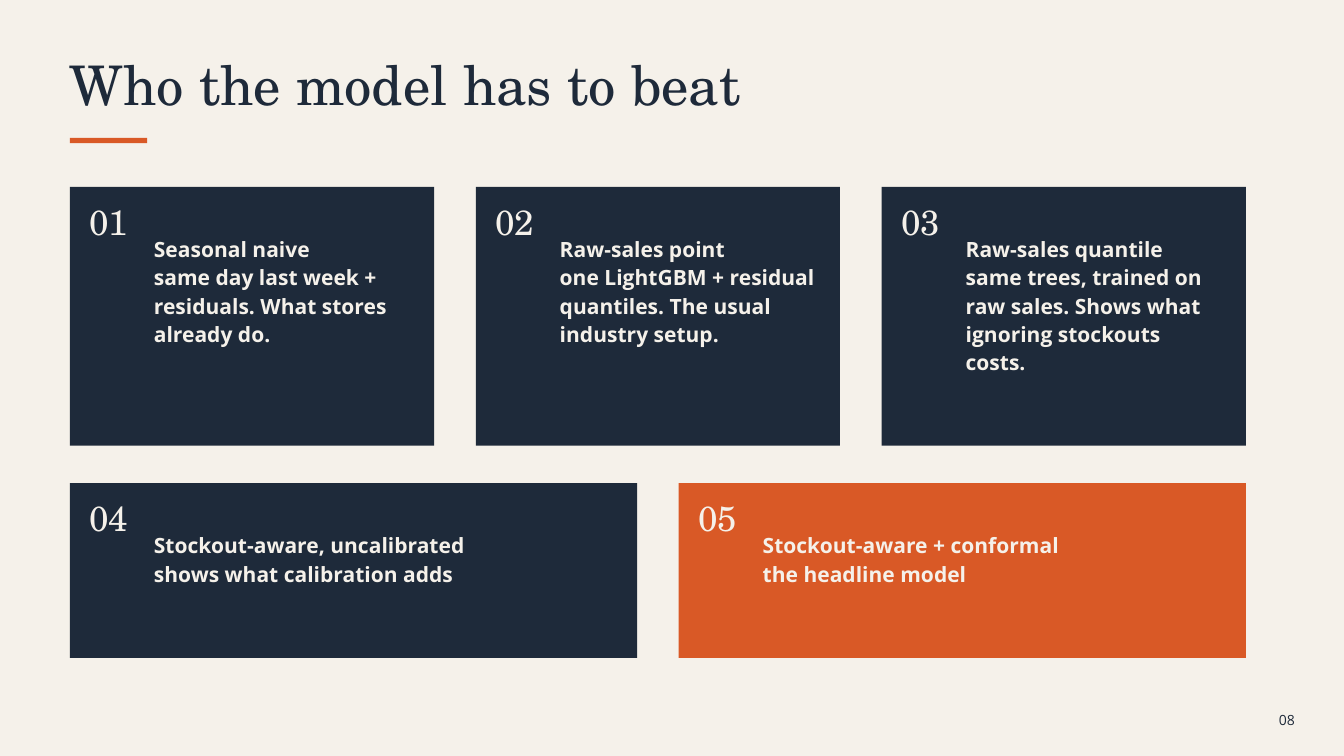
from dataclasses import dataclass

from pptx import Presentation
from pptx.dml.color import RGBColor
from pptx.enum.shapes import MSO_SHAPE
from pptx.enum.text import MSO_AUTO_SIZE, PP_ALIGN
from pptx.util import Inches, Pt

RECTANGLE = MSO_SHAPE.RECTANGLE
GROW = MSO_AUTO_SIZE.SHAPE_TO_FIT_TEXT
LEFT, RIGHT = PP_ALIGN.LEFT, PP_ALIGN.RIGHT


@dataclass(frozen=True)
class TextStyle:
    font: str
    size: float
    leading: float
    color: str
    bold: bool = False


@dataclass(frozen=True)
class Theme:
    paper: str = "F5F1EA"
    ink: str = "1E2A3A"
    accent: str = "D95926"
    title: TextStyle = TextStyle("TeX Gyre Schola", 58.5, 59.7, ink)
    number: TextStyle = TextStyle("TeX Gyre Schola", 37.5, 38.2, paper)
    body: TextStyle = TextStyle("Open Sans", 22.5, 30.4, paper, True)
    page: TextStyle = TextStyle("Open Sans", 15, 18.8, ink)


class SlideBuilder:
    def __init__(self, slide, theme):
        self.s = slide
        self.theme = theme

    def background(self):
        fill = self.s.background.fill
        fill.solid()
        fill.fore_color.rgb = RGBColor.from_string(self.theme.paper)

    def block(self, x, y, w, h, color):
        sp = self.s.shapes.add_shape(
            RECTANGLE, Inches(x), Inches(y), Inches(w), Inches(h))
        sp.shadow.inherit = False
        sp.fill.solid()
        sp.fill.fore_color.rgb = RGBColor.from_string(color)
        sp.line.fill.background()

    def text(self, x, y, w, h, lines, style, align=LEFT):
        sp = self.s.shapes.add_textbox(
            Inches(x), Inches(y), Inches(w), Inches(h))
        tf = sp.text_frame
        tf.word_wrap = True
        tf.auto_size = GROW
        tf.margin_left = tf.margin_right = tf.margin_top = tf.margin_bottom = 0
        for i, line in enumerate(lines):
            p = tf.add_paragraph() if i else tf.paragraphs[0]
            p.alignment = align
            p.line_spacing = Pt(style.leading)
            r = p.add_run()
            r.text = line
            r.font.name = style.font
            r.font.size = Pt(style.size)
            r.font.bold = style.bold
            r.font.color.rgb = RGBColor.from_string(style.color)

    def card(self, x, y, w, h, number, lines, text_h, color):
        self.block(x, y, w, h, color)
        self.text(x + 0.29, y + 0.3, 0.94, 0.58, [f"{number:02}"],
                  self.theme.number)
        self.text(x + 1.25, y + 0.69, w - 1.56, text_h, lines, self.theme.body)


MARGIN, CONTENT_W, GAP = 1.04, 17.5, 0.62

# Each row: top, height, cards as (heading, description, text height)
ROWS = [
    (2.78, 3.85, [
        ("Seasonal naive",
         "same day last week + residuals. What stores already do.", 1.66),
        ("Raw-sales point",
         "one LightGBM + residual quantiles. The usual industry setup.", 1.66),
        ("Raw-sales quantile",
         "same trees, trained on raw sales. Shows what ignoring stockouts "
         "costs.", 2.08),
    ]),
    (7.19, 2.6, [
        ("Stockout-aware, uncalibrated", "shows what calibration adds", 0.83),
        ("Stockout-aware + conformal", "the headline model", 0.83),
    ]),
]
HEADLINE_CARD = 5


def main():
    prs = Presentation()
    prs.slide_width, prs.slide_height = Inches(20), Inches(11.25)
    theme = Theme()
    slide = SlideBuilder(prs.slides.add_slide(prs.slide_layouts[6]), theme)
    slide.background()

    # Title, accent rule and page number
    slide.text(MARGIN, 0.9, 13.75, 0.86, ["Who the model has to beat"],
               theme.title)
    slide.block(MARGIN, 2.05, 1.15, 0.08, theme.accent)
    slide.text(18.54, 10.58, 0.73, 0.27, ["08"], theme.page, RIGHT)

    # Numbered cards, evenly sharing the width of each row
    number = 0
    for y, h, cards in ROWS:
        w = (CONTENT_W - GAP * (len(cards) - 1)) / len(cards)
        for col, (heading, description, text_h) in enumerate(cards):
            number += 1
            color = theme.accent if number == HEADLINE_CARD else theme.ink
            slide.card(MARGIN + col * (w + GAP), y, w, h, number,
                       [heading, description], text_h, color)

    prs.save("out.pptx")


if __name__ == "__main__":
    main()
